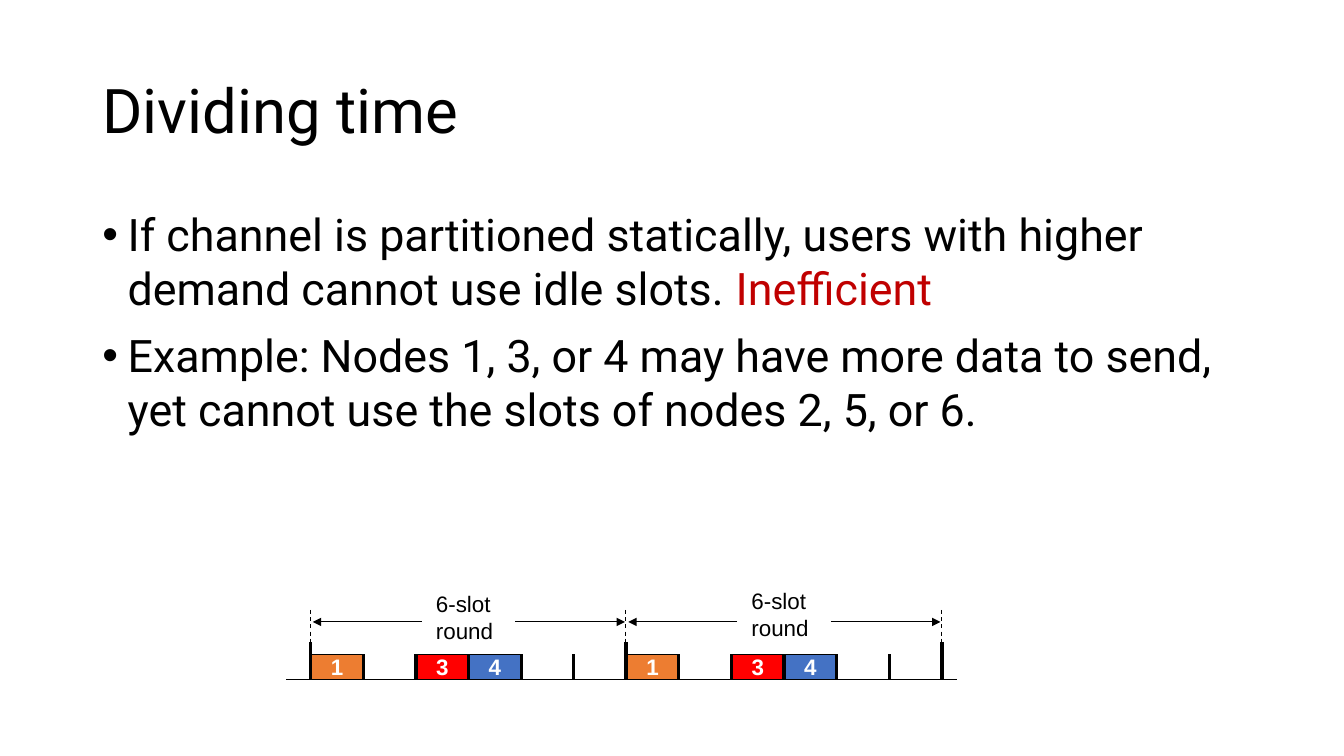
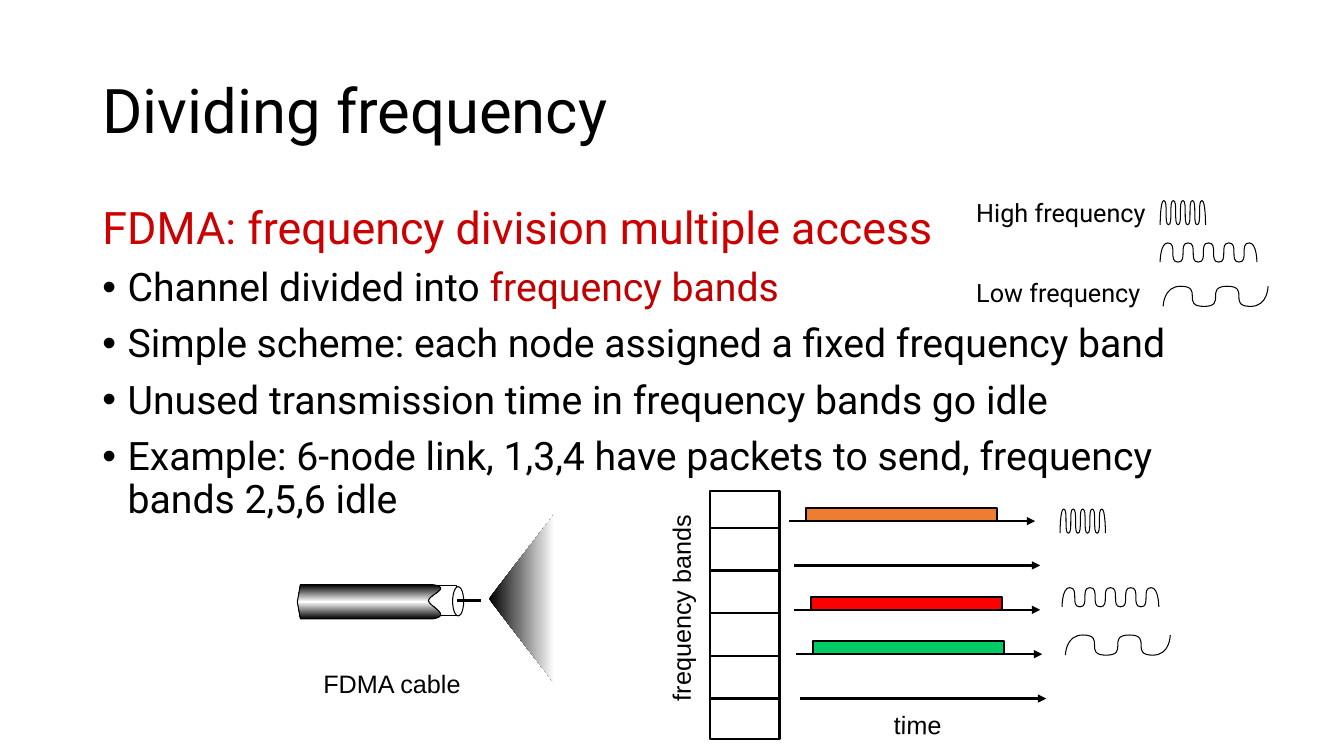
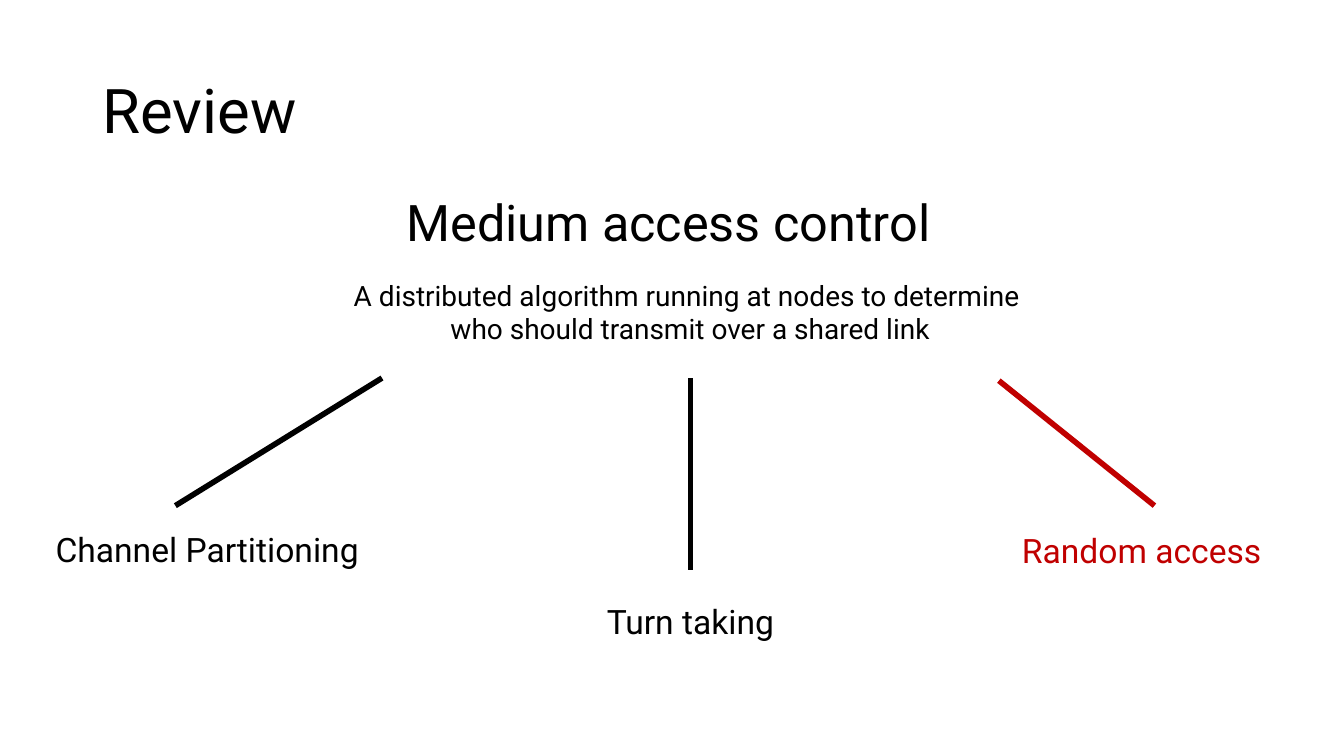
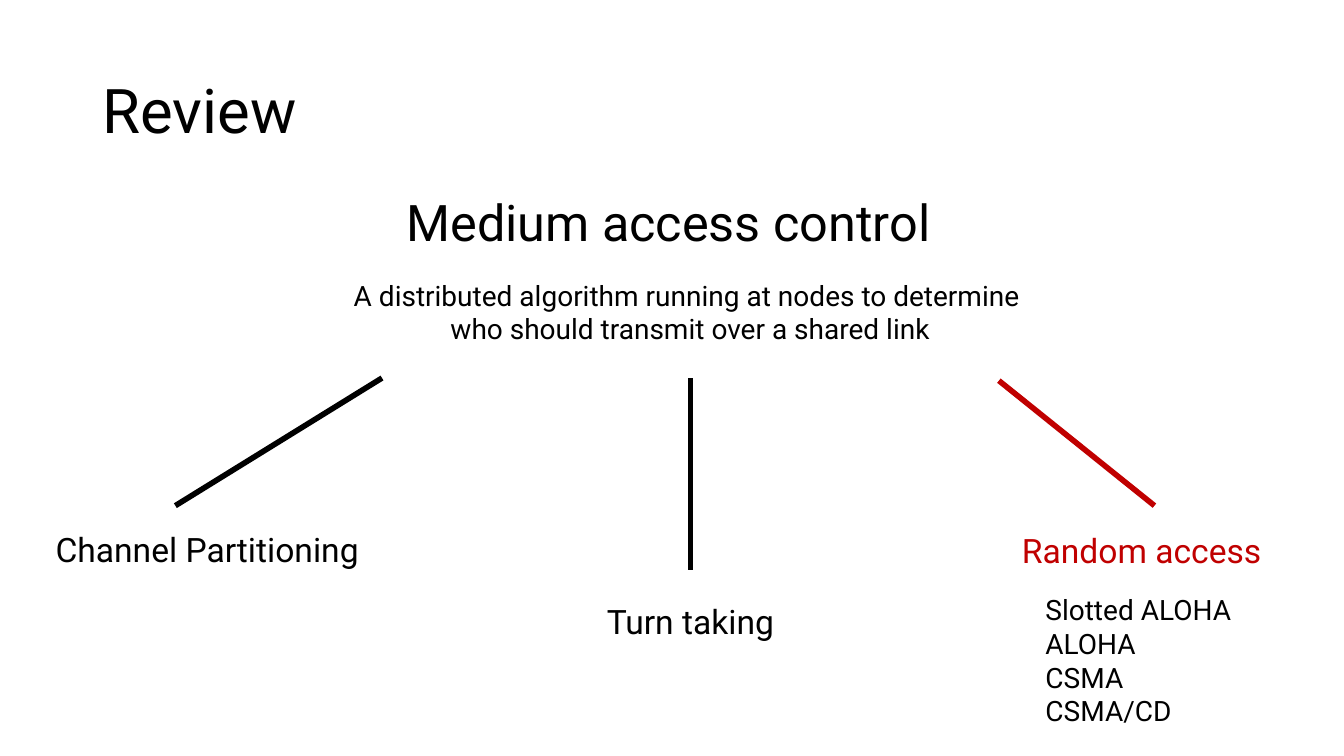
from lxml.etree import SubElement
from pptx import Presentation
from pptx.dml.color import RGBColor
from pptx.enum.dml import MSO_LINE
from pptx.enum.shapes import MSO_CONNECTOR, MSO_SHAPE
from pptx.enum.text import MSO_ANCHOR, MSO_AUTO_SIZE, PP_ALIGN
from pptx.oxml.ns import qn
from pptx.util import Emu, Pt

COLORS = {
    "black": "000000", "white": "FFFFFF", "crimson": "C00000", "cherry": "CC0000",
    "orange": "ED7D31", "red": "FF0000", "blue": "4472C4", "green": "00CC66",
}
RGB = {name: RGBColor.from_string(value) for name, value in COLORS.items()}

COLUMNS = 40
deck = Presentation()
deck.slide_width = Emu(12192000)
deck.slide_height = Emu(6858000)
CELL = deck.slide_width / COLUMNS
MARGIN = 2.75
CONTENT_WIDTH = COLUMNS - 2 * MARGIN
TITLE_BOX = (MARGIN, 1.2, CONTENT_WIDTH, 4.35)


def line(slide, start, end, width=0.75, color="black", arrow=False, dash=None):
    ends = [Emu(round(v * CELL)) for v in (*start, *end)]
    stroke = slide.shapes.add_connector(MSO_CONNECTOR.STRAIGHT, *ends)
    stroke.line.width = Pt(width)
    stroke.line.color.rgb = RGB[color]
    if dash:
        stroke.line.dash_style = dash
    if arrow:
        SubElement(stroke.get_or_add_ln(), qn("a:tailEnd"), type="triangle")
    SubElement(stroke.element.spPr, qn("a:effectLst"))


outline = [
    ("Dividing time", 6, 1.0, [
        (32, True, [("If channel is partitioned statically, users with higher demand cannot use idle slots. ", "black"),
                    ("Inefficient", "crimson")]),
        (32, True, [("Example: Nodes 1, 3, or 4 may have more data to send, yet cannot use the slots of nodes 2, 5, or 6.", "black")]),
    ]),
    ("Dividing frequency", 5.96, 0.9, [
        (32, False, [("FDMA: frequency division multiple access", "cherry")]),
        (28, True, [("Channel divided into ", "black"), ("frequency bands", "crimson")]),
        (28, True, [("Simple scheme: each node assigned a fixed frequency band", "black")]),
        (28, True, [("Unused transmission time in frequency bands go idle", "black")]),
        (28, True, [("Example: 6-node link, 1,3,4 have packets to send, frequency bands 2,5,6 idle", "black")]),
    ]),
    ("Review", 6, 0.9, []),
    ("Review", 6, 0.9, []),
]

slides = []
for heading, body_top, spacing, points in outline:
    slide = deck.slides.add_slide(deck.slide_layouts[1 if points else 5])
    slides.append(slide)
    slide.shapes.title.text = heading
    for holder, box in zip(slide.placeholders, (TITLE_BOX, (MARGIN, body_top, CONTENT_WIDTH, 14.28))):
        for side, value in zip(("left", "top", "width", "height"), box):
            setattr(holder, side, Emu(round(value * CELL)))
        holder.text_frame.auto_size = MSO_AUTO_SIZE.NONE
    title_frame = slide.shapes.title.text_frame
    title_frame.vertical_anchor = MSO_ANCHOR.MIDDLE
    title_line = title_frame.paragraphs[0]
    for key, value in {"alignment": PP_ALIGN.LEFT, "line_spacing": 0.9}.items():
        setattr(title_line, key, value)
    for key, value in {"name": "Roboto", "size": Pt(44)}.items():
        setattr(title_line.font, key, value)
    title_line.font.color.rgb = RGB["black"]
    for index, (size, bulleted, pieces) in enumerate(points):
        frame = slide.placeholders[1].text_frame
        point = frame.add_paragraph() if index else frame.paragraphs[0]
        for key, value in {"line_spacing": spacing, "space_before": Pt(10)}.items():
            setattr(point, key, value)
        properties = point._p.get_or_add_pPr()
        properties.set("marL", "228600")
        properties.set("indent", "-228600")
        if not bulleted:
            SubElement(properties, qn("a:buNone"))
        for words, color in pieces:
            run = point.add_run()
            run.text = words
            for key, value in {"name": "Roboto", "size": Pt(size)}.items():
                setattr(run.font, key, value)
            run.font.color.rgb = RGB[color]

time_slide, frequency_slide, *review_slides = slides
shapes, outlines, labels = [], [], []

SLOTS, ROUND_START, ROUND_WIDTH = 6, 9.25, 9.39
SLOT = ROUND_WIDTH / SLOTS
SLOT_TOP, BASELINE = 19.47, 20.22
busy_slots = {0: ("1", "orange"), 2: ("3", "red"), 3: ("4", "blue")}
for cycle, label_top in enumerate((17.42, 17.33)):
    left = ROUND_START + cycle * ROUND_WIDTH
    for slot, (node, color) in busy_slots.items():
        shapes.append((time_slide, MSO_SHAPE.RECTANGLE, (left + slot * SLOT, SLOT_TOP, SLOT, BASELINE - SLOT_TOP), color, 0.75, node))
    labels.append((time_slide, (left + 3.43, label_top, 2.31, 1.92), ["6-slot", "round"], {"size": 16, "name": "Arial"}))

FRAME_LEFT, FRAME_WIDTH = 21.13, 2.07
shapes += [
    (frequency_slide, MSO_SHAPE.RECTANGLE, (FRAME_LEFT, 14.61, FRAME_WIDTH, 7.38), "white", 1.5, ""),
    (frequency_slide, MSO_SHAPE.RECTANGLE, (12.72, 17.43, 0.87, 0.9), "white", 0.75, ""),
    (frequency_slide, MSO_SHAPE.OVAL, (13.47, 17.46, 0.33, 0.87), "white", 0.75, ""),
]

for slide, kind, box, color, width, node in shapes:
    block = slide.shapes.add_shape(kind, *[Emu(round(v * CELL)) for v in box])
    block.shadow.inherit = False
    block.fill.solid()
    block.fill.fore_color.rgb = RGB[color]
    block.line.color.rgb = RGB["black"]
    block.line.width = Pt(width)
    if node:
        frame = block.text_frame
        for key in ("margin_left", "margin_right", "margin_top", "margin_bottom"):
            setattr(frame, key, 0)
        frame.vertical_anchor = MSO_ANCHOR.MIDDLE
        frame.text = node
        number = frame.paragraphs[0]
        number.alignment = PP_ALIGN.CENTER
        for key, value in {"name": "Arial", "size": Pt(16), "bold": True}.items():
            setattr(number.font, key, value)
        number.font.color.rgb = RGB["white"]

line(time_slide, (8.52, BASELINE), (28.47, BASELINE))
for tick in range(2 * SLOTS + 1):
    x = ROUND_START + tick * SLOT
    edge = tick % SLOTS == 0
    line(time_slide, (x, 19.11 if edge else SLOT_TOP), (x, BASELINE), 3 if edge and tick else 2.25)
    if edge:
        line(time_slide, (x - 0.02, 18.15), (x - 0.02, 19.15), dash=MSO_LINE.DASH)
for cycle in range(2):
    left = ROUND_START + cycle * ROUND_WIDTH
    for start, end in ((3.3, 0.06), (6.09, 9.35)):
        line(time_slide, (left + start, 18.51), (left + end, 18.51), arrow=True)

for divider in range(5):
    y = 15.71 + divider * 1.27
    line(frequency_slide, (FRAME_LEFT, y), (FRAME_LEFT + FRAME_WIDTH, y), 1.5)
lanes = [(23.49, "orange"), (23.64, None), (23.64, "red"), (23.7, "green"), (23.82, None)]
for lane, (left, color) in enumerate(lanes):
    y = 15.51 + lane * 1.32
    line(frequency_slide, (left, y), (left + 7.32, y), 1.5, arrow=True)
    if color:
        bar_left, bar_right = left + 0.49, left + 6.17
        bar = [[(bar_left, y - 0.39)], [(bar_right, y - 0.39)], [(bar_right, y - 0.02)]]
        outlines.append(((bar_left, y - 0.02), bar, [color], False, 0, 1.5))
line(frequency_slide, (13.59, 17.88), (14.31, 17.88), 2.25)

beam = [[(14.55, 17.82)], [(16.5, 20.34)], [(16.5, 15.3)]]
cable = [
    [(8.85, 17.91)], [(8.94, 18.42)], [(12.87, 18.42)],
    [(13.5, 18.33), (12.75, 18.03), (12.75, 17.88)],
    [(12.75, 17.7), (13.5, 17.49), (12.87, 17.4)],
    [(8.94, 17.4)],
]
outlines += [
    ((16.5, 15.3), beam, ["black", "white"], True, 0, 0),
    ((8.94, 17.4), cable, ["black", "white", "black"], True, 90, 0.75),
]
waves = [
    (10, 1.35, 0.72, [(31.55, 15.15), (34.53, 5.97)]),
    (10, 2.88, 0.57, [(31.61, 17.49), (34.53, 7.23)]),
    (5, 3.12, 0.6, [(31.71, 18.9), (34.62, 8.52)]),
]
for halves, width, height, corners in waves:
    stride = width / (halves - 0.5)
    for left, top in corners:
        knots = [(left, top + height)]
        for half in range(1, halves + 1):
            x = left + (width if half == halves else (half - 0.25) * stride)
            knots.append((x, top if half % 2 else top + height))
        wave = []
        for half, ((x0, y0), (x1, y1)) in enumerate(zip(knots, knots[1:])):
            lead = x1 if half else x0
            trail = x1 if half == halves - 1 else x0
            wave.append([(lead, y0), (trail, y1), (x1, y1)])
        outlines.append((knots[0], wave, [], False, 0, 0.75))

for start, segments, stops, closed, angle, width in outlines:
    track = [(round(x * CELL), round(y * CELL)) for segment in segments for x, y in segment]
    builder = frequency_slide.shapes.build_freeform(*[round(v * CELL) for v in start])
    builder.add_line_segments(track, close=closed)
    figure = builder.convert_to_shape()
    contour = figure.element.spPr.find(".//" + qn("a:path"))
    strokes = iter(contour.findall(qn("a:lnTo")))
    for segment in segments:
        straight = [next(strokes) for _ in segment]
        if len(segment) == 3:
            bend = SubElement(contour, qn("a:cubicBezTo"))
            straight[0].addprevious(bend)
            for piece in straight:
                bend.append(piece[0])
                contour.remove(piece)
    figure.shadow.inherit = False
    if len(stops) > 1:
        figure.fill.gradient()
        figure.fill.gradient_angle = angle
        stop_list = figure.element.spPr.find(".//" + qn("a:gsLst"))
        for old in list(stop_list):
            stop_list.remove(old)
        for index, color in enumerate(stops):
            stop = SubElement(stop_list, qn("a:gs"), pos=str(index * 100000 // (len(stops) - 1)))
            SubElement(stop, qn("a:srgbClr"), val=COLORS[color])
    elif stops:
        figure.fill.solid()
        figure.fill.fore_color.rgb = RGB[stops[0]]
    else:
        figure.fill.background()
    if width:
        figure.line.color.rgb = RGB["black"]
        figure.line.width = Pt(width)
    else:
        figure.line.fill.background()

axis = {"size": 18, "name": "Arial"}
legend = {"size": 18, "wrap": True}
labels += [
    (frequency_slide, (17.19, 17.49, 6.15, 1.2), ["frequency bands"], {**axis, "rotation": 270}),
    (frequency_slide, (26.31, 20.97, 2.01, 1.2), ["time"], {**axis, "rotation": 1.1}),
    (frequency_slide, (9.33, 19.74, 4.74, 1.2), ["FDMA cable"], axis),
    (frequency_slide, (28.76, 5.73, 6.36, 1.2), ["High frequency"], legend),
    (frequency_slide, (28.76, 8.1, 6.36, 1.2), ["Low frequency"], legend),
]

branch = {"size": 24, "wrap": True}
centered = {"wrap": True, "align": PP_ALIGN.CENTER}
for slide in review_slides:
    line(slide, (11.37, 11.25), (5.22, 15.05), 4)
    line(slide, (20.55, 11.25), (20.55, 16.95), 4)
    line(slide, (29.73, 11.33), (34.36, 15.05), 4, "crimson")
    labels += [
        (slide, (11.8, 5.55, 17.46, 2.13), ["Medium access control"], {"size": 36, "wrap": True}),
        (slide, (7.12, 8.13, 26.85, 2.31),
         ["A distributed algorithm running at nodes to determine ", "who should transmit over a shared link"],
         {**centered, "size": 20}),
        (slide, (1.36, 15.6, 9.72, 1.5), ["Channel Partitioning"], branch),
        (slide, (15.69, 17.73, 9.72, 1.5), ["Turn taking"], {**branch, **centered}),
        (slide, (29.12, 15.63, 9.72, 1.5), ["Random access"], {**branch, **centered, "color": "crimson"}),
    ]
labels.append((review_slides[1], (29.32, 17.5, 9.3, 4.35), ["Slotted ALOHA", "ALOHA", "CSMA", "CSMA/CD"],
               {"size": 20, "wrap": True, "indent": 1.5}))

for slide, box, rows, style in labels:
    label = slide.shapes.add_textbox(*[Emu(round(v * CELL)) for v in box])
    label.rotation = style.get("rotation", 0)
    frame = label.text_frame
    frame.word_wrap = style.get("wrap", False)
    frame.auto_size = MSO_AUTO_SIZE.SHAPE_TO_FIT_TEXT
    frame.text = "\n".join(rows)
    for row in frame.paragraphs:
        row.alignment = style.get("align", PP_ALIGN.LEFT)
        if "indent" in style:
            row.level = 1
            row._p.get_or_add_pPr().set("marL", str(round(style["indent"] * CELL)))
        for key, value in {"name": style.get("name", "Roboto"), "size": Pt(style["size"])}.items():
            setattr(row.font, key, value)
        row.font.color.rgb = RGB[style.get("color", "black")]

deck.save("out.pptx")
